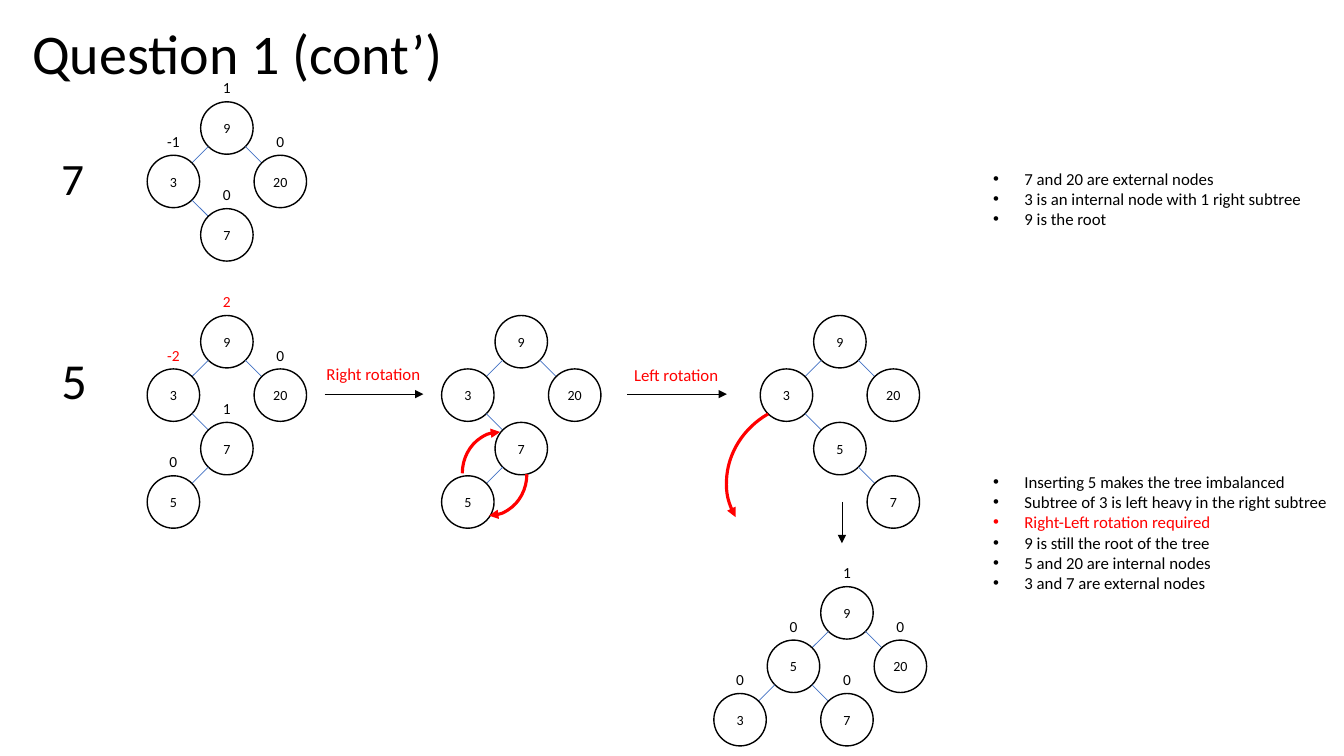
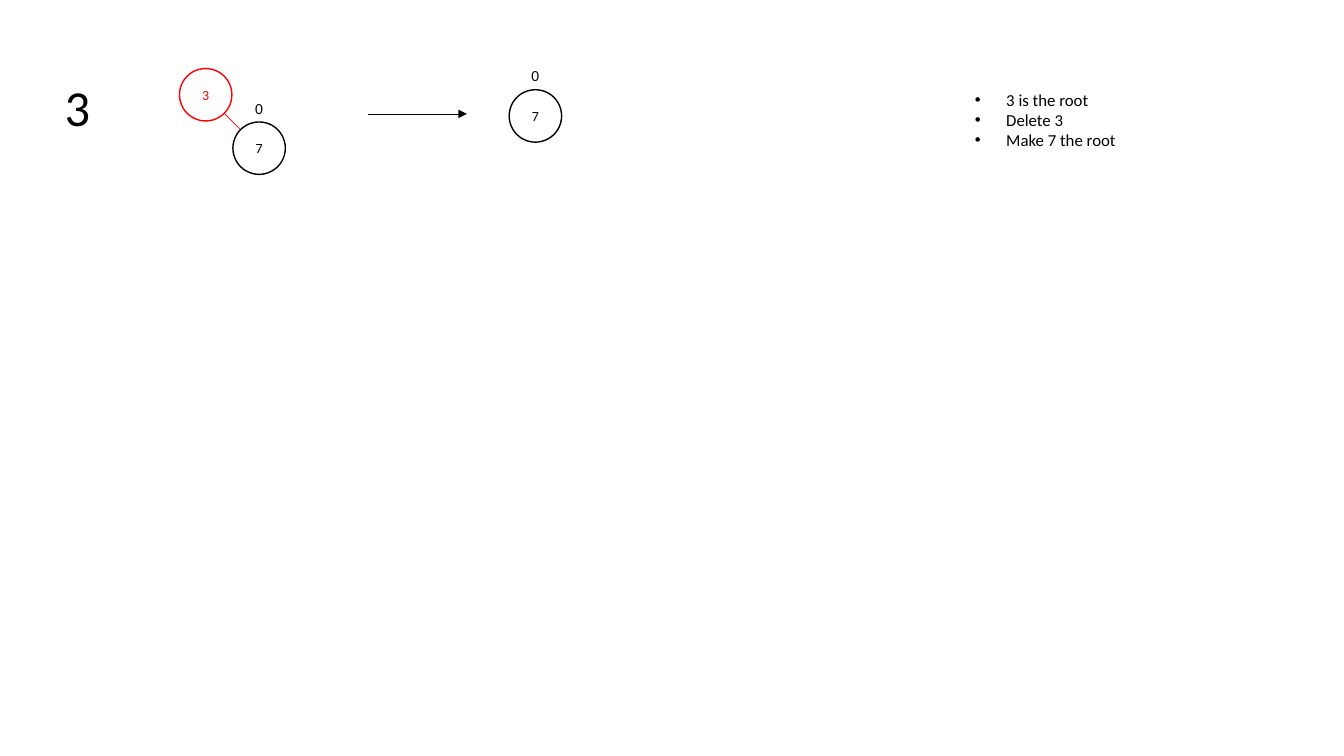
from dataclasses import dataclass
from math import sqrt

from lxml.etree import SubElement
from pptx import Presentation
from pptx.dml.color import RGBColor
from pptx.enum.shapes import MSO_CONNECTOR, MSO_SHAPE
from pptx.enum.text import MSO_ANCHOR, MSO_AUTO_SIZE, PP_ALIGN
from pptx.oxml.ns import qn
from pptx.shapes.base import BaseShape
from pptx.shapes.connector import Connector
from pptx.shapes.shapetree import GroupShapes, SlideShapes
from pptx.text.text import TextFrame
from pptx.util import Inches, Pt

COLORS = {"ink": "000000", "alert": "FF0000", "edge": "4472C4"}
FONT = "Calibri"
TITLE_AND_LIST, TITLE_AND_TWO_LISTS = 1, 3

NODE_SIZE = 0.52
NODE_STEP = 0.53
EDGE_INSET = NODE_SIZE / 2 / sqrt(2)
BALANCE_WIDTH, BALANCE_HEIGHT = 0.45, 0.29
BALANCE_RISE = 0.28
BULLET_INDENT = 0.31


@dataclass(frozen=True)
class Box:
    left: float
    top: float
    width: float
    height: float

    def lengths(self) -> tuple[int, int, int, int]:
        return (Inches(self.left), Inches(self.top),
                Inches(self.width), Inches(self.height))


@dataclass(frozen=True)
class Line:
    text: str
    color: str = "ink"


@dataclass(frozen=True)
class Node:
    """A tree node; column and row count steps from the root."""
    key: str
    column: int = 0
    row: int = 0
    parent: int | None = None
    balance: str = ""
    color: str = "ink"
    balance_color: str = "ink"


@dataclass(frozen=True)
class Tree:
    root_x: float
    root_y: float
    nodes: tuple[Node, ...]
    edge_color: str = "edge"

    def center(self, node: Node) -> tuple[float, float]:
        return (self.root_x + node.column * NODE_STEP,
                self.root_y + node.row * NODE_STEP)


@dataclass(frozen=True)
class Arrow:
    x1: float
    y1: float
    x2: float
    y2: float


@dataclass(frozen=True)
class RotationArc:
    box: Box
    angle: int
    mirrored: bool = False


@dataclass(frozen=True)
class Caption:
    box: Box
    line: Line
    size: int
    wrap: bool = True


@dataclass(frozen=True)
class BulletList:
    box: Box
    lines: tuple[Line, ...]


def rgb(name: str) -> RGBColor:
    return RGBColor.from_string(COLORS[name])


def write(frame: TextFrame, lines: tuple[Line, ...], size: int,
          align: PP_ALIGN = PP_ALIGN.LEFT, wrap: bool = True) -> None:
    frame.auto_size = MSO_AUTO_SIZE.NONE
    frame.word_wrap = wrap
    for index, line in enumerate(lines):
        paragraph = frame.add_paragraph() if index else frame.paragraphs[0]
        paragraph.alignment = align
        paragraph.space_before = Pt(0)
        run = paragraph.add_run()
        run.text = line.text
        run.font.name = FONT
        run.font.size = Pt(size)
        run.font.color.rgb = rgb(line.color)


def place(shape: BaseShape, box: Box) -> None:
    shape.left, shape.top, shape.width, shape.height = box.lengths()


def style_line(shape: BaseShape, color: str, width: float,
               arrowhead: bool = False) -> None:
    shape.line.color.rgb = rgb(color)
    shape.line.width = Pt(width)
    if arrowhead:
        SubElement(shape.line._get_or_add_ln(), qn("a:tailEnd"), type="triangle")


def draw_line(shapes: SlideShapes | GroupShapes, ends: Arrow, color: str,
              arrowhead: bool = False) -> Connector:
    connector = shapes.add_connector(
        MSO_CONNECTOR.STRAIGHT, Inches(ends.x1), Inches(ends.y1),
        Inches(ends.x2), Inches(ends.y2))
    style_line(connector, color, 0.5, arrowhead)
    SubElement(connector._element.spPr, qn("a:effectLst"))
    return connector


def draw_caption(shapes: SlideShapes | GroupShapes, caption: Caption,
                 align: PP_ALIGN = PP_ALIGN.LEFT) -> None:
    textbox = shapes.add_textbox(*caption.box.lengths())
    write(textbox.text_frame, (caption.line,), caption.size, align, caption.wrap)


def draw_edge(shapes: GroupShapes, tree: Tree, parent: Node, child: Node) -> None:
    (x1, y1), (x2, y2) = tree.center(parent), tree.center(child)
    shift = EDGE_INSET if x2 > x1 else -EDGE_INSET
    ends = Arrow(x1 + shift, y1 + EDGE_INSET, x2 - shift, y2 - EDGE_INSET)
    draw_line(shapes, ends, tree.edge_color)


def draw_node(shapes: GroupShapes, tree: Tree, node: Node) -> None:
    x, y = tree.center(node)
    top = y - NODE_SIZE / 2
    circle = shapes.add_shape(
        MSO_SHAPE.OVAL,
        *Box(x - NODE_SIZE / 2, top, NODE_SIZE, NODE_SIZE).lengths())
    circle.shadow.inherit = False
    circle.fill.background()
    style_line(circle, node.color, 1)
    frame = circle.text_frame
    frame.margin_left = frame.margin_right = 0
    frame.vertical_anchor = MSO_ANCHOR.MIDDLE
    write(frame, (Line(node.key, node.color),), 10, PP_ALIGN.CENTER)
    if node.balance:
        box = Box(x - BALANCE_WIDTH / 2, top - BALANCE_RISE,
                  BALANCE_WIDTH, BALANCE_HEIGHT)
        line = Line(node.balance, node.balance_color)
        draw_caption(shapes, Caption(box, line, 11), PP_ALIGN.CENTER)


def draw_tree(shapes: SlideShapes, tree: Tree) -> None:
    group = shapes.add_group_shape().shapes
    for node in tree.nodes:
        if node.parent is not None:
            draw_edge(group, tree, tree.nodes[node.parent], node)
        draw_node(group, tree, node)


def draw_rotation_arc(shapes: SlideShapes, rotation: RotationArc) -> None:
    arc = shapes.add_shape(MSO_SHAPE.ARC, *rotation.box.lengths())
    arc.shadow.inherit = False
    arc.fill.background()
    style_line(arc, "alert", 2.25, arrowhead=True)
    arc.rotation = rotation.angle
    if rotation.mirrored:
        arc._element.spPr.find(qn("a:xfrm")).set("flipH", "1")


def fill_title(title: BaseShape, heading: Caption) -> None:
    place(title, heading.box)
    title.text_frame.vertical_anchor = MSO_ANCHOR.TOP
    write(title.text_frame, (heading.line,), heading.size)


def fill_list(body: BaseShape, bullets: BulletList) -> None:
    place(body, bullets.box)
    body.text_frame.vertical_anchor = MSO_ANCHOR.TOP
    write(body.text_frame, bullets.lines, 12, wrap=False)
    for paragraph in body.text_frame.paragraphs:
        properties = paragraph._p.get_or_add_pPr()
        properties.set("marL", str(Inches(BULLET_INDENT)))
        properties.set("indent", str(-Inches(BULLET_INDENT)))


@dataclass(frozen=True)
class Page:
    layout: int
    heading: Caption
    lists: tuple[BulletList, ...]
    trees: tuple[Tree, ...]
    arrows: tuple[Arrow, ...]
    captions: tuple[Caption, ...] = ()
    rotations: tuple[RotationArc, ...] = ()


INSERTION = Page(
    layout=TITLE_AND_TWO_LISTS,
    heading=Caption(Box(0.22, 0.13, 4.97, 0.77), Line("Question 1 (cont’)"), 40),
    lists=(
        BulletList(Box(9.75, 1.62, 3.29, 0.71), (
            Line("7 and 20 are external nodes"),
            Line("3 is an internal node with 1 right subtree"),
            Line("9 is the root"))),
        BulletList(Box(9.75, 4.63, 3.55, 1.31), (
            Line("Inserting 5 makes the tree imbalanced"),
            Line("Subtree of 3 is left heavy in the right subtree"),
            Line("Right-Left rotation required", "alert"),
            Line("9 is still the root of the tree"),
            Line("5 and 20 are internal nodes"),
            Line("3 and 7 are external nodes"))),
    ),
    trees=(
        Tree(2.25, 1.27, (
            Node("9", balance="1"), Node("3", -1, 1, 0, "-1"),
            Node("20", 1, 1, 0, "0"), Node("7", 0, 2, 1, "0"))),
        Tree(2.25, 3.39, (
            Node("9", balance="2", balance_color="alert"),
            Node("3", -1, 1, 0, "-2", balance_color="alert"),
            Node("20", 1, 1, 0, "0"), Node("7", 0, 2, 1, "1"),
            Node("5", -1, 3, 3, "0"))),
        Tree(5.17, 3.39, (
            Node("9"), Node("3", -1, 1, 0), Node("20", 1, 1, 0),
            Node("7", 0, 2, 1), Node("5", -1, 3, 3))),
        Tree(8.33, 3.39, (
            Node("9"), Node("3", -1, 1, 0), Node("20", 1, 1, 0),
            Node("5", 0, 2, 1), Node("7", 1, 3, 3))),
        Tree(8.4, 6.08, (
            Node("9", balance="1"), Node("5", -1, 1, 0, "0"),
            Node("20", 1, 1, 0, "0"), Node("7", 0, 2, 1, "0"),
            Node("3", -2, 2, 1, "0"))),
    ),
    arrows=(Arrow(3.22, 3.91, 4.2, 3.91), Arrow(6.22, 3.91, 7.21, 3.91),
            Arrow(8.35, 4.98, 8.35, 5.39)),
    captions=(
        Caption(Box(0.51, 1.45, 1.7, 0.64), Line("7"), 32),
        Caption(Box(0.51, 3.41, 1.7, 0.71), Line("5"), 36),
        Caption(Box(3.14, 3.56, 1.14, 0.3), Line("Right rotation", "alert"), 12, False),
        Caption(Box(6.19, 3.57, 1.05, 0.3), Line("Left rotation", "alert"), 12, False),
    ),
    rotations=(RotationArc(Box(4.55, 4.32, 0.82, 0.75), 270),
               RotationArc(Box(4.44, 4.33, 0.82, 0.75), 90),
               RotationArc(Box(7.19, 4.01, 1.58, 1.45), 330, mirrored=True)),
)

DELETION = Page(
    layout=TITLE_AND_LIST,
    heading=Caption(Box(0.54, 0.7, 1.7, 0.71), Line("3"), 36),
    lists=(BulletList(Box(9.57, 0.84, 1.62, 0.71), (
        Line("3 is the root"), Line("Delete 3"), Line("Make 7 the root"))),),
    trees=(
        Tree(2.04, 0.94, (Node("3", color="alert"), Node("7", 1, 1, 0, "0")),
             edge_color="alert"),
        Tree(5.31, 1.15, (Node("7", balance="0"),)),
    ),
    arrows=(Arrow(3.65, 1.13, 4.63, 1.13),),
)


def main() -> None:
    deck = Presentation()
    deck.slide_width, deck.slide_height = Inches(13.33), Inches(7.5)
    for page in (INSERTION, DELETION):
        slide = deck.slides.add_slide(deck.slide_layouts[page.layout])
        fill_title(slide.shapes.title, page.heading)
        for index, bullets in enumerate(page.lists, start=1):
            fill_list(slide.placeholders[index], bullets)
        for tree in page.trees:
            draw_tree(slide.shapes, tree)
        for rotation in page.rotations:
            draw_rotation_arc(slide.shapes, rotation)
        for arrow in page.arrows:
            draw_line(slide.shapes, arrow, "ink", arrowhead=True)
        for caption in page.captions:
            draw_caption(slide.shapes, caption)
    deck.save("out.pptx")


if __name__ == "__main__":
    main()
